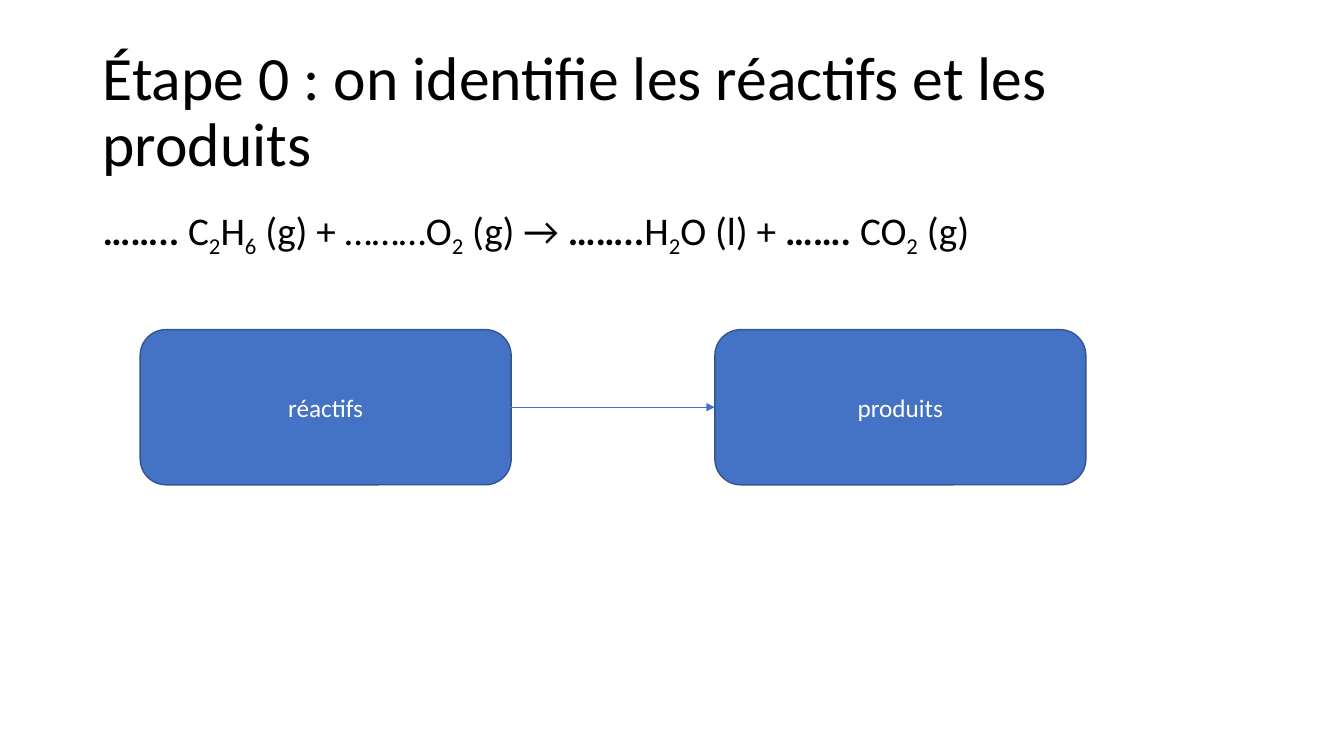
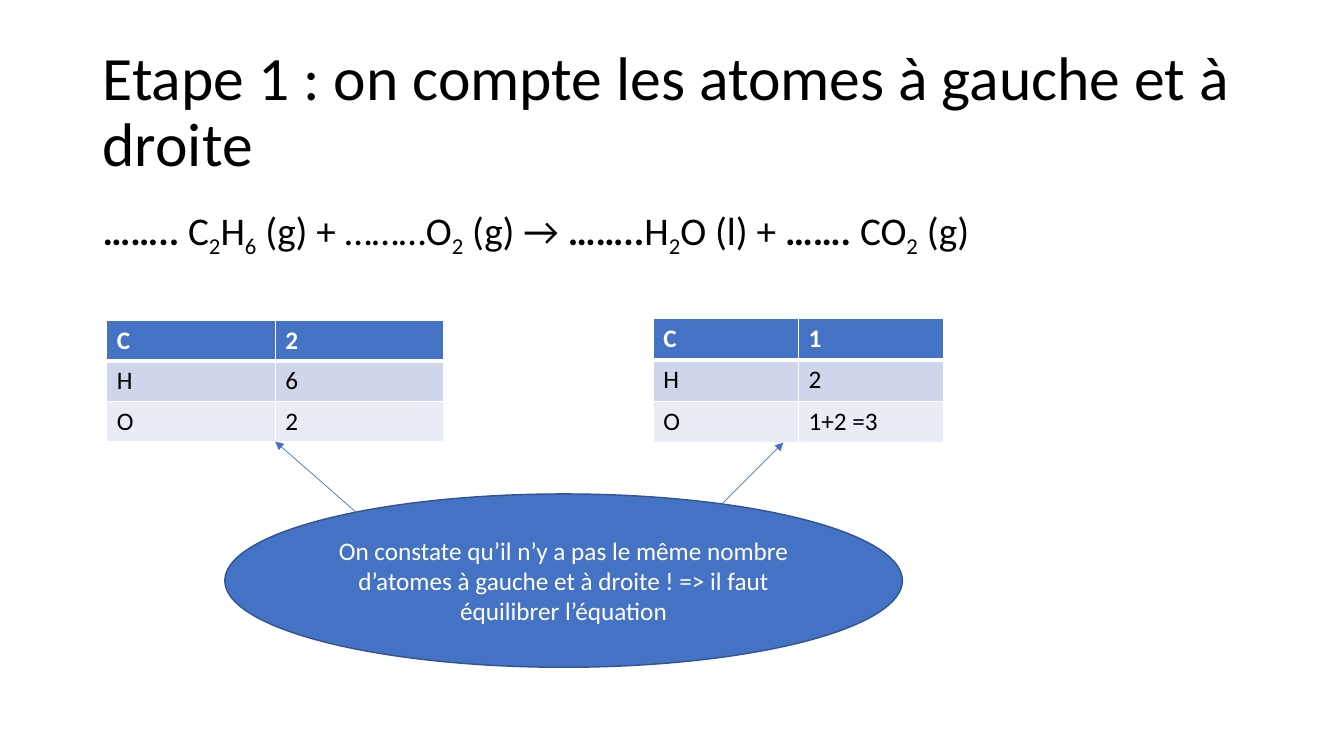
from dataclasses import dataclass

from lxml.etree import SubElement
from pptx import Presentation
from pptx.dml.color import RGBColor
from pptx.enum.shapes import MSO_CONNECTOR, MSO_SHAPE
from pptx.enum.text import MSO_ANCHOR, PP_ALIGN
from pptx.oxml import parse_xml
from pptx.oxml.ns import nsdecls, qn
from pptx.util import Inches, Pt


@dataclass(frozen=True)
class Theme:
    """Colours, font and type sizes shared by the slides."""
    font: str = "Calibri"
    title: int = 44
    equation: int = 28
    label: int = 18
    black: RGBColor = RGBColor(0x00, 0x00, 0x00)
    white: RGBColor = RGBColor(0xFF, 0xFF, 0xFF)
    blue: RGBColor = RGBColor(0x44, 0x72, 0xC4)
    outline: RGBColor = RGBColor(0x32, 0x54, 0x91)
    band_dark: RGBColor = RGBColor(0xCF, 0xD5, 0xEA)
    band_light: RGBColor = RGBColor(0xE9, 0xEB, 0xF5)


T = Theme()


def write_text(tf, text, size=T.label, color=T.white, align=PP_ALIGN.LEFT,
               bold=False, spacing=None, before=0):
    """Write a string, or (text, style) runs with style "", "bold" or "sub"."""
    tf.word_wrap = True
    p = tf.paragraphs[0]
    p.alignment = align
    p.line_spacing = spacing
    p.space_before = Pt(before)
    for part, style in [(text, "")] if isinstance(text, str) else text:
        r = p.add_run()
        r.text = part
        r.font.name = T.font
        r.font.size = Pt(size)
        r.font.bold = bold or style == "bold"
        r.font.color.rgb = color
        if style == "sub":
            r._r.get_or_add_rPr().set("baseline", "-25000")


def add_arrow(s, x1, y1, x2, y2):
    """Draw a thin blue arrow from one point to another."""
    arrow = s.shapes.add_connector(MSO_CONNECTOR.STRAIGHT, Inches(x1), Inches(y1),
                                   Inches(x2), Inches(y2))
    arrow.line.color.rgb = T.blue
    arrow.line.width = Pt(0.5)
    spPr = arrow._element.spPr
    SubElement(spPr.find(qn("a:ln")), qn("a:tailEnd"), type="triangle")
    SubElement(spPr, qn("a:effectLst"))


EQUATION = [
    ("…….. ", "bold"), ("C", ""), ("2", "sub"), ("H", ""), ("6", "sub"),
    (" (g) + ………O", ""), ("2", "sub"), (" (g) → ", ""),
    ("……..", "bold"), ("H", ""), ("2", "sub"), ("O (l) + ", ""),
    ("……. ", "bold"), ("CO", ""), ("2", "sub"), (" (g)", ""),
]
CONCLUSION = ("On constate qu’il n’y a pas le même nombre d’atomes à gauche "
              "et à droite ! => il faut équilibrer l’équation")

STEPS = [
    {
        "title": "Étape 0 : on identifie les réactifs et les produits",
        "shapes": [
            (MSO_SHAPE.ROUNDED_RECTANGLE, 1.39, 3.27, 3.68, 1.54, "réactifs"),
            (MSO_SHAPE.ROUNDED_RECTANGLE, 7.09, 3.27, 3.68, 1.54, "produits"),
        ],
        "tables": [],
        "arrows": [(4.9, 4.04, 7.09, 4.04)],
    },
    {
        "title": "Etape 1 : on compte les atomes à gauche et à droite",
        "shapes": [(MSO_SHAPE.OVAL, 2.23, 4.9, 6.72, 1.72, CONCLUSION)],
        "tables": [
            (1.06, 3.18, 1.67, 0.4, [("C", "2"), ("H", "6"), ("O", "2")]),
            (6.48, 3.16, 1.44, 0.41, [("C", "1"), ("H", "2"), ("O", "1+2 =3")]),
        ],
        "arrows": [(6.99, 5.17, 7.77, 4.39), (3.77, 5.29, 2.73, 4.38)],
    },
]

prs = Presentation()
prs.slide_width, prs.slide_height = Inches(13.33), Inches(7.5)

for step in STEPS:
    s = prs.slides.add_slide(prs.slide_layouts[6])

    # Title and equation
    tf = s.shapes.add_textbox(Inches(0.92), Inches(0.4), Inches(11.5), Inches(1.45)).text_frame
    tf.vertical_anchor = MSO_ANCHOR.MIDDLE
    write_text(tf, step["title"], size=T.title, color=T.black, spacing=0.9)
    tf = s.shapes.add_textbox(Inches(0.92), Inches(2), Inches(11.5), Inches(4.76)).text_frame
    write_text(tf, EQUATION, size=T.equation, color=T.black, spacing=0.9, before=10)

    # Atom counts
    for x, y, col_w, row_h, rows in step["tables"]:
        table = s.shapes.add_table(len(rows), 2, Inches(x), Inches(y), Inches(2 * col_w),
                                   Inches(row_h * len(rows))).table
        for col in table.columns:
            col.width = Inches(col_w)
        for i, values in enumerate(rows):
            header = i == 0
            for j, value in enumerate(values):
                cell = table.cell(i, j)
                cell.fill.solid()
                cell.fill.fore_color.rgb = (T.blue, T.band_dark, T.band_light)[i]
                write_text(cell.text_frame, value, bold=header,
                           color=T.white if header else T.black)
                tcPr = cell._tc.get_or_add_tcPr()
                for k, side in enumerate("LRTB"):
                    thick = (header and side == "B") or (i == 1 and side == "T")
                    tcPr.insert(k, parse_xml(
                        f'<a:ln{side} {nsdecls("a")} w="{Pt(3 if thick else 1)}"><a:solidFill>'
                        f'<a:srgbClr val="{T.white}"/></a:solidFill></a:ln{side}>'))

    # Filled shapes
    for kind, x, y, w, h, text in step["shapes"]:
        sp = s.shapes.add_shape(kind, Inches(x), Inches(y), Inches(w), Inches(h))
        sp.shadow.inherit = False
        sp.fill.solid()
        sp.fill.fore_color.rgb = T.blue
        sp.line.color.rgb = T.outline
        sp.line.width = Pt(1)
        sp.text_frame.vertical_anchor = MSO_ANCHOR.MIDDLE
        write_text(sp.text_frame, text, align=PP_ALIGN.CENTER)

    for points in step["arrows"]:
        add_arrow(s, *points)

prs.save("out.pptx")
